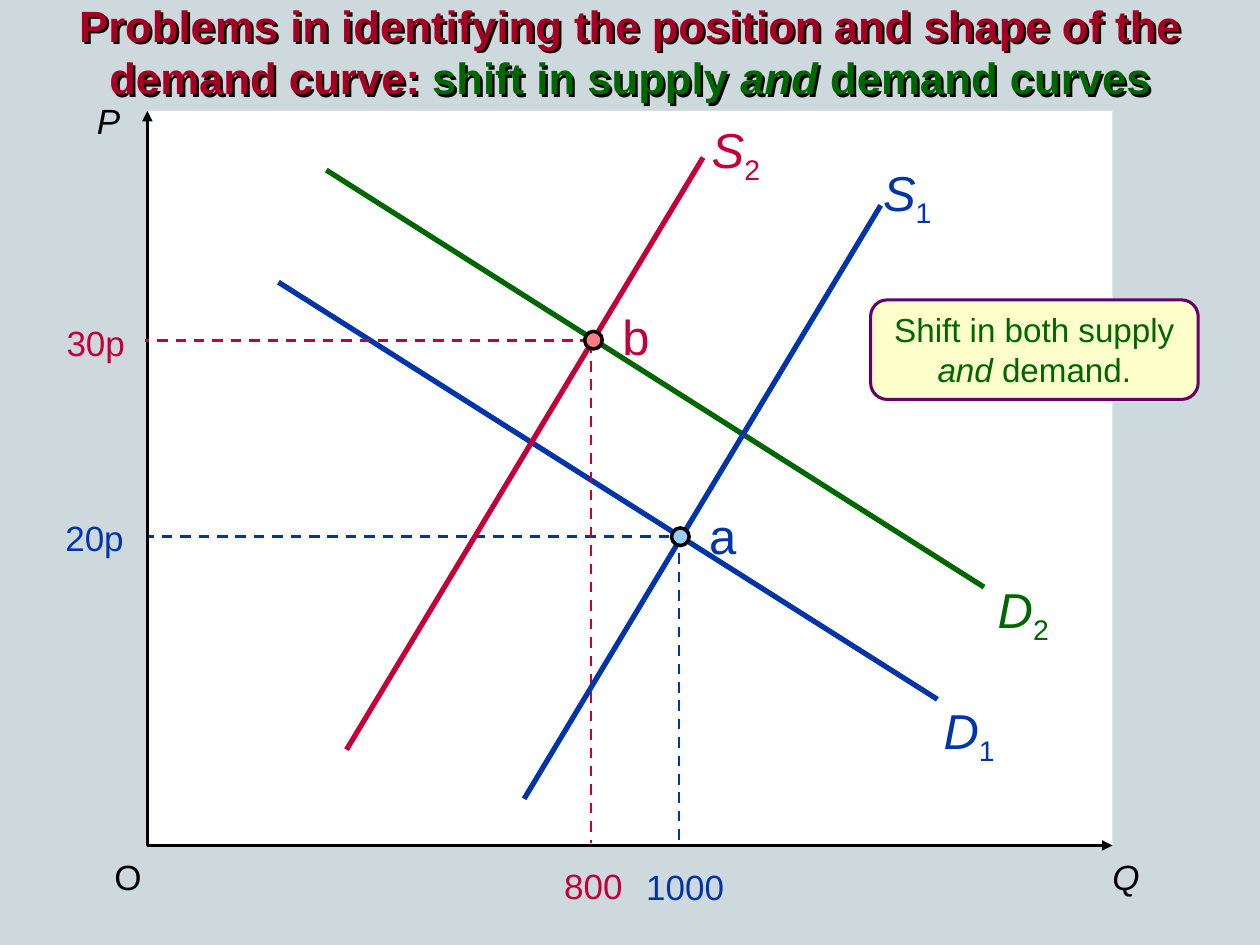
"""Build a supply and demand slide showing a shift in both curves."""
from dataclasses import dataclass
from typing import Any, Optional

from lxml import etree
from pptx import Presentation
from pptx.dml import color as dml
from pptx.enum import dml as line_styles, shapes, text
from pptx.oxml import ns
from pptx.util import Inches, Pt

Point = tuple[float, float]
Box = tuple[float, float, float, float]


@dataclass(frozen=True)
class Theme:
    font: str = "Arial"
    background: str = "CED9DE"
    plot: str = "FFFFFF"
    ink: str = "000000"
    blue: str = "0035AA"
    green: str = "006600"
    red: str = "C40038"
    title: str = "A50021"
    note_fill: str = "FFFFCC"
    note_line: str = "660066"
    point_a: str = "99CCFF"
    point_b: str = "FF7C80"
    title_size: float = 25
    curve_size: float = 28
    axis_size: float = 20
    note_size: float = 19
    curve_width: float = 3
    axis_width: float = 2
    guide_width: float = 1.5
    note_width: float = 1.75


THEME = Theme()


@dataclass(frozen=True)
class Run:
    text: str
    color: str
    size: float
    italic: bool = False
    bold: bool = False
    subscript: bool = False


@dataclass(frozen=True)
class Label:
    box: Box
    runs: tuple[Run, ...]


@dataclass(frozen=True)
class Line:
    start: Point
    end: Point
    color: str
    width: float
    dashed: bool = False
    arrow: Optional[str] = None


@dataclass(frozen=True)
class Panel:
    kind: shapes.MSO_SHAPE
    box: Box
    fill: Optional[str] = None
    line: Optional[str] = None
    width: float = 0
    dashed: bool = False


def set_values(target: Any, values: dict[str, Any]) -> None:
    """Set every named attribute on the target."""
    for name, value in values.items():
        setattr(target, name, value)


def inches(box: Box) -> list[Inches]:
    """Turn plain numbers into lengths."""
    return [Inches(value) for value in box]


def rgb(value: str) -> dml.RGBColor:
    """Turn a hex string into a colour."""
    return dml.RGBColor.from_string(value)


def write_runs(paragraph: Any, runs: tuple[Run, ...]) -> None:
    """Add formatted runs to a paragraph."""
    for item in runs:
        run = paragraph.add_run()
        run.text = item.text
        set_values(run.font, {"name": THEME.font, "size": Pt(item.size),
                              "bold": item.bold, "italic": item.italic})
        run.font.color.rgb = rgb(item.color)
        if item.subscript:
            run._r.get_or_add_rPr().set("baseline", "-25000")


def cast_shadow(shape: Any) -> None:
    """Give the text of an unfilled shape a hard shadow."""
    effects = etree.SubElement(shape._element.spPr, ns.qn("a:effectLst"))
    shadow = etree.SubElement(effects, ns.qn("a:outerShdw"), dist="25400", dir="2700000")
    etree.SubElement(shadow, ns.qn("a:srgbClr"), val=THEME.ink)


def style_line(line: Any, color: str, width: float, dashed: bool) -> None:
    """Set the colour, width and dash of an outline."""
    line.color.rgb = rgb(color)
    line.width = Pt(width)
    if dashed:
        line.dash_style = line_styles.MSO_LINE.DASH


def draw_line(slide: Any, item: Line) -> None:
    """Draw a curve, guide or axis."""
    ends = inches(item.start + item.end)
    connector = slide.shapes.add_connector(shapes.MSO_CONNECTOR.STRAIGHT, *ends)
    style_line(connector.line, item.color, item.width, item.dashed)
    if item.arrow:
        etree.SubElement(connector.line._get_or_add_ln(), ns.qn(f"a:{item.arrow}"), type="triangle")
    etree.SubElement(connector._element.spPr, ns.qn("a:effectLst"))


def draw_panel(slide: Any, item: Panel) -> Any:
    """Draw a filled or outlined preset shape."""
    shape = slide.shapes.add_shape(item.kind, *inches(item.box))
    shape.shadow.inherit = False
    if item.fill:
        shape.fill.solid()
        shape.fill.fore_color.rgb = rgb(item.fill)
    else:
        shape.fill.background()
    if item.line:
        style_line(shape.line, item.line, item.width, item.dashed)
    else:
        shape.line.fill.background()
    return shape


def draw_label(slide: Any, item: Label) -> None:
    """Draw a text label."""
    frame = slide.shapes.add_textbox(*inches(item.box)).text_frame
    set_values(frame, {"word_wrap": False, "auto_size": text.MSO_AUTO_SIZE.SHAPE_TO_FIT_TEXT})
    write_runs(frame.paragraphs[0], item.runs)


def write_centred(shape: Any, runs: tuple[Run, ...], margins: Point) -> None:
    """Write wrapped text in the middle of a shape."""
    side, edge = inches(margins)
    set_values(shape.text_frame, {
        "word_wrap": True, "auto_size": text.MSO_AUTO_SIZE.NONE,
        "vertical_anchor": text.MSO_ANCHOR.MIDDLE,
        "margin_left": side, "margin_right": side, "margin_top": edge, "margin_bottom": edge})
    paragraph = shape.text_frame.paragraphs[0]
    paragraph.alignment = text.PP_ALIGN.CENTER
    write_runs(paragraph, runs)


def axis_label(left: float, top: float, width: float, words: str,
               color: str = THEME.ink, italic: bool = False) -> Label:
    """Describe a label beside an axis."""
    return Label((left, top, width, 0.43), (Run(words, color, THEME.axis_size, italic),))


def curve_label(left: float, top: float, name: str, number: str, color: str) -> Label:
    """Describe a curve name with its subscript."""
    return Label((left, top, 0.65, 0.63), (
        Run(name, color, THEME.curve_size, italic=True),
        Run(number, color, THEME.curve_size, subscript=True)))


def point_label(left: float, top: float, name: str, color: str) -> Label:
    """Describe the letter beside an equilibrium."""
    return Label((left, top, 0.42, 0.57), (Run(name, color, THEME.curve_size),))


def main() -> None:
    """Build and save the slide."""
    t, kind = THEME, shapes.MSO_SHAPE
    presentation = Presentation()
    set_values(presentation, {"slide_width": Inches(10), "slide_height": Inches(7.5)})
    slide = presentation.slides.add_slide(presentation.slide_layouts[5])
    slide.background.fill.solid()
    slide.background.fill.fore_color.rgb = rgb(t.background)

    title = slide.shapes.title
    set_values(title, dict(zip(("left", "top", "width", "height"), inches((0, 0, 10, 0.81)))))
    title.fill.background()
    cast_shadow(title)
    style = {"size": t.title_size, "bold": True}
    write_centred(title, (
        Run("Problems in identifying the position and shape of the demand curve: ", t.title, **style),
        Run("shift in supply", t.green, **style),
        Run(" and ", t.green, italic=True, **style),
        Run("demand curves", t.green, **style)), (0.1, 0.05))

    left, top, right, bottom = 1.17, 0.88, 8.83, 6.71
    for panel in (
            Panel(kind.RECTANGLE, (left, top, right - left, bottom - top), t.plot),
            Panel(kind.RECTANGLE, (left, 4.26, 4.22, bottom - 4.26), None, t.blue, t.guide_width, True)):
        draw_panel(slide, panel)
    for line in (
            Line((left, top), (left, bottom), t.ink, t.axis_width, arrow="headEnd"),
            Line((left, bottom), (right, bottom), t.ink, t.axis_width, arrow="tailEnd"),
            Line((2.21, 2.24), (7.44, 5.55), t.blue, t.curve_width),
            Line((2.59, 1.35), (7.81, 4.66), t.green, t.curve_width),
            Line((4.69, 2.7), (1.15, 2.7), t.red, t.guide_width, dashed=True),
            Line((4.69, 2.72), (4.69, 6.69), t.red, t.guide_width, dashed=True),
            Line((2.75, 5.95), (5.58, 1.25), t.red, t.curve_width),
            Line((4.16, 6.34), (6.99, 1.63), t.blue, t.curve_width)):
        draw_line(slide, line)
    for label in (
            axis_label(0.67, 0.74, 0.45, "P", italic=True), axis_label(0.81, 6.74, 0.42, "O"),
            axis_label(8.73, 6.74, 0.42, "Q", italic=True),
            axis_label(5.03, 6.82, 0.82, "1000", t.blue), axis_label(0.42, 4.05, 0.67, "20p", t.blue),
            axis_label(4.38, 6.81, 0.67, "800", t.red), axis_label(0.43, 2.5, 0.67, "30p", t.red),
            curve_label(6.91, 1.24, "S", "1", t.blue), curve_label(5.55, 0.9, "S", "2", t.red),
            curve_label(7.39, 5.51, "D", "1", t.blue), curve_label(7.82, 4.55, "D", "2", t.green),
            point_label(5.53, 3.96, "a", t.blue), point_label(4.84, 2.38, "b", t.red)):
        draw_label(slide, label)
    for x, y, fill in ((4.64, 2.63, t.point_b), (5.33, 4.19, t.point_a)):
        draw_panel(slide, Panel(kind.OVAL, (x, y, 0.14, 0.14), fill, t.ink, t.axis_width))

    note = draw_panel(slide, Panel(kind.FLOWCHART_ALTERNATE_PROCESS, (6.91, 2.38, 2.6, 0.79),
                                   t.note_fill, t.note_line, t.note_width))
    write_centred(note, (
        Run("Shift in both supply ", t.green, t.note_size),
        Run("and", t.green, t.note_size, italic=True),
        Run(" demand.", t.green, t.note_size)), (0.06, 0.04))
    presentation.save("out.pptx")


if __name__ == "__main__":
    main()
